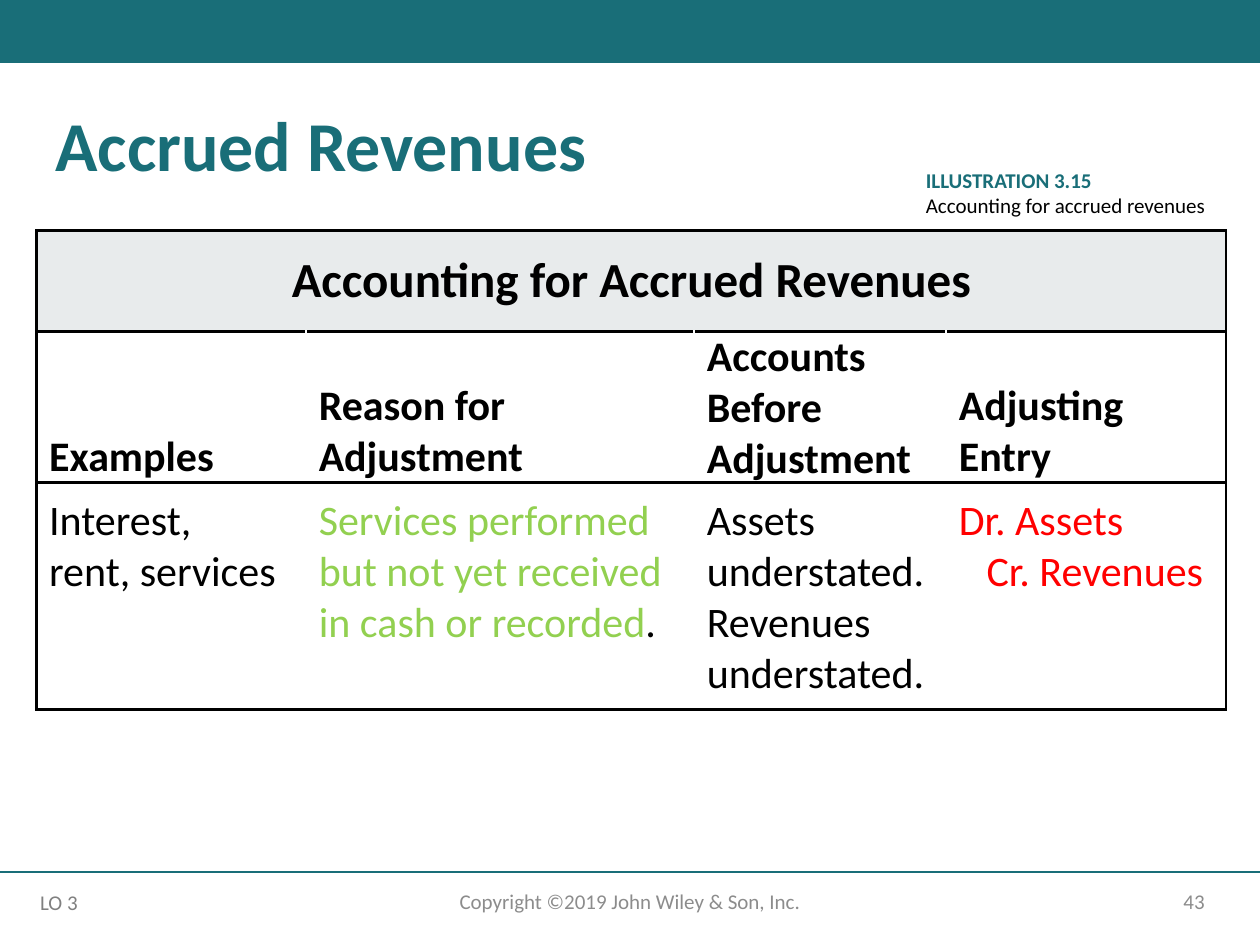
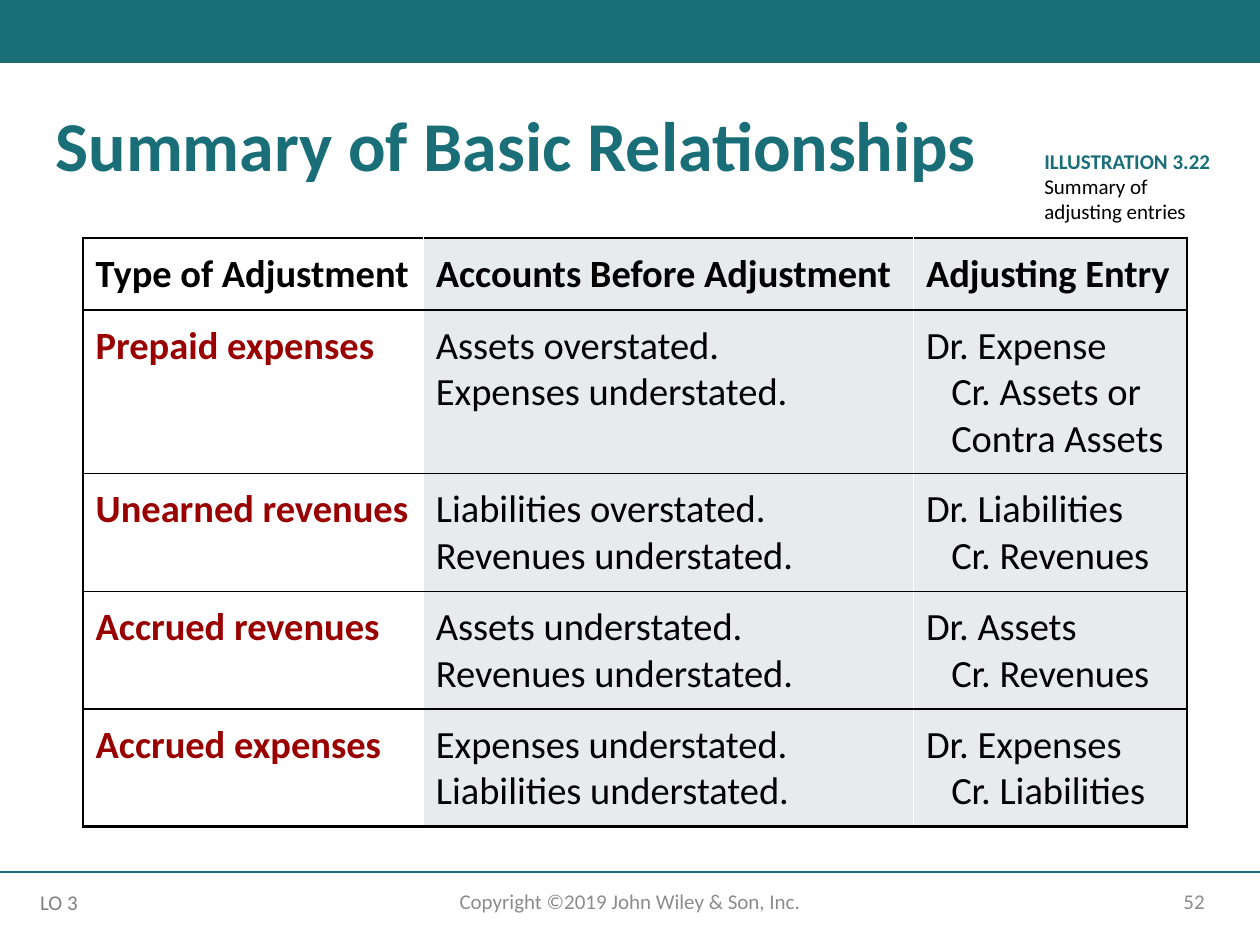
from dataclasses import dataclass

import pptx
import pptx.dml.color
import pptx.enum.shapes
import pptx.enum.text
import pptx.oxml
import pptx.oxml.ns
import pptx.slide
import pptx.table
import pptx.text.text
import pptx.util
from lxml import etree

Inches = pptx.util.Inches
Pt = pptx.util.Pt
Align = pptx.enum.text.PP_ALIGN
Anchor = pptx.enum.text.MSO_ANCHOR


@dataclass(frozen=True)
class Theme:
    font: str = "Calibri"
    teal: str = "196E78"
    black: str = "000000"
    white: str = "FFFFFF"
    pale: str = "E8EBEC"
    gray: str = "8C8C8C"
    dim: str = "808080"
    green: str = "92D050"
    red: str = "FF0000"
    maroon: str = "990000"
    title: int = 40
    banner: int = 28
    small: int = 12
    thick: float = 1.5
    thin: float = 1


THEME = Theme()


@dataclass(frozen=True)
class Box:
    left: float
    top: float
    width: float
    height: float

    def place(self) -> tuple:
        return tuple(Inches(n) for n in (self.left, self.top, self.width, self.height))


@dataclass(frozen=True)
class Line:
    text: str
    ink: str
    bold: bool = False
    align: Align = Align.LEFT


@dataclass(frozen=True)
class Cell:
    """Table cell; hang indents each line after the first, tail is a black ending."""
    lines: tuple[str, ...]
    ink: str = THEME.black
    bold: bool = False
    fill: str = THEME.white
    hang: float = 0
    tail: str = ""


@dataclass(frozen=True)
class Row:
    height: float
    cells: tuple[Cell, ...]
    size: int
    anchor: Anchor = Anchor.TOP
    pad: float = 0.1
    rule: float = THEME.thick


@dataclass(frozen=True)
class Page:
    title: str
    number: str
    label: str
    note: str
    note_box: Box
    grid: Box
    cols: tuple[float, ...]
    rows: tuple[Row, ...]


def color(code: str) -> pptx.dml.color.RGBColor:
    return pptx.dml.color.RGBColor.from_string(code)


def style(para: pptx.text.text._Paragraph, size: int, ink: str, bold: bool) -> None:
    font = para.font
    font.name, font.size, font.bold = THEME.font, Pt(size), bold
    font.color.rgb = color(ink)


def add_text(slide: pptx.slide.Slide, box: Box, lines: tuple[Line, ...],
             anchor: Anchor = Anchor.TOP) -> None:
    frame = slide.shapes.add_textbox(*box.place()).text_frame
    frame.word_wrap = True
    frame.vertical_anchor = anchor
    for i, line in enumerate(lines):
        para = frame.paragraphs[0] if i == 0 else frame.add_paragraph()
        para.text = line.text
        para.alignment = line.align
        style(para, THEME.small, line.ink, line.bold)


def add_frame(slide: pptx.slide.Slide, page: Page) -> None:
    """Draw the band, footer and title that every slide shares."""
    band = slide.shapes.add_shape(pptx.enum.shapes.MSO_SHAPE.RECTANGLE,
                                  *Box(0, 0, 10, 0.5).place())
    band.shadow.inherit = False
    band.fill.solid()
    band.fill.fore_color.rgb = color(THEME.teal)
    band.line.fill.background()

    rule = slide.shapes.add_connector(pptx.enum.shapes.MSO_CONNECTOR.STRAIGHT,
                                      Inches(0), Inches(6.92), Inches(10), Inches(6.92))
    rule.line.color.rgb = color(THEME.teal)
    rule.line.width = Pt(THEME.thin)
    etree.SubElement(rule._element.spPr, pptx.oxml.ns.qn("a:effectLst"))

    for box, line in (
        (Box(0.22, 6.96, 1, 0.4), Line("LO 3", THEME.dim)),
        (Box(3.31, 6.95, 3.38, 0.4),
         Line("Copyright ©2019 John Wiley & Son, Inc.", THEME.gray, align=Align.CENTER)),
        (Box(7.06, 6.95, 2.6, 0.4), Line(page.number, THEME.gray, align=Align.RIGHT)),
    ):
        add_text(slide, box, (line,), Anchor.MIDDLE)

    title = slide.shapes.title
    title.left, title.top, title.width, title.height = Box(0.34, 0.83, 9.49, 0.71).place()
    title.text_frame.text = page.title
    title.text_frame.auto_size = pptx.enum.text.MSO_AUTO_SIZE.NONE
    para = title.text_frame.paragraphs[0]
    para.alignment, para.line_spacing = Align.LEFT, 0.9
    style(para, THEME.title, THEME.teal, True)


def set_edge(cell: pptx.table._Cell, side: str, ink: str, width: float) -> None:
    edge = etree.SubElement(cell._tc.get_or_add_tcPr(), pptx.oxml.ns.qn(f"a:ln{side}"),
                            w=str(int(Pt(width))))
    fill = etree.SubElement(edge, pptx.oxml.ns.qn("a:solidFill"))
    etree.SubElement(fill, pptx.oxml.ns.qn("a:srgbClr"), val=ink)


def fill_cell(spot: pptx.table._Cell, cell: Cell, row: Row, align: Align) -> None:
    spot.vertical_anchor = row.anchor
    spot.margin_left = spot.margin_right = Inches(0.1)
    spot.margin_top = spot.margin_bottom = Inches(row.pad)
    spot.fill.solid()
    spot.fill.fore_color.rgb = color(cell.fill)
    frame = spot.text_frame
    for i, text in enumerate(cell.lines):
        para = frame.paragraphs[0] if i == 0 else frame.add_paragraph()
        para.text = text
        para.alignment = align
        if i and cell.hang:
            para._p.get_or_add_pPr().set("marL", str(Inches(cell.hang)))
        style(para, row.size, cell.ink, cell.bold)
    if cell.tail:
        run = para.add_run()
        run.text = cell.tail
        run.font.color.rgb = color(THEME.black)


def add_grid(slide: pptx.slide.Slide, page: Page) -> None:
    """Draw the table; a row with a single cell spans all columns."""
    count = len(page.cols)
    table = slide.shapes.add_table(len(page.rows), count, *page.grid.place()).table
    table.first_row = table.horz_banding = False
    for col, width in zip(table.columns, page.cols):
        col.width = Inches(width)
    outer, inner = (THEME.black, THEME.thick), (THEME.white, THEME.thin)
    above = THEME.thick
    for r, row in enumerate(page.rows):
        table.rows[r].height = Inches(row.height)
        whole = len(row.cells) == 1
        if whole:
            table.cell(r, 0).merge(table.cell(r, count - 1))
        for c, cell in enumerate(row.cells):
            spot = table.cell(r, c)
            last = whole or c == count - 1
            set_edge(spot, "L", *(inner if c else outer))
            set_edge(spot, "R", *(outer if last else inner))
            set_edge(spot, "T", THEME.black, above)
            set_edge(spot, "B", THEME.black, row.rule)
            fill_cell(spot, cell, row, Align.CENTER if whole else Align.LEFT)
        above = row.rule


def head(*lines: str, fill: str = THEME.white) -> Cell:
    return Cell(lines, bold=True, fill=fill)


def kind_row(kind: str, before: tuple[str, ...], entry: tuple[str, ...],
             height: float = 0.93, rule: float = THEME.thin) -> Row:
    """Build one summary row for a type of adjustment."""
    return Row(height, (Cell((kind,), THEME.maroon, True), Cell(before, fill=THEME.pale),
                        Cell(entry, fill=THEME.pale, hang=0.2)), 22, rule=rule)


PAGES = (
    Page(
        "Accrued Revenues", "43", "ILLUSTRATION 3.15", "Accounting for accrued revenues",
        Box(7.25, 1.28, 2.65, 0.5), Box(0.29, 1.83, 9.44, 3.8), (2.14, 3.08, 2, 2.22),
        (
            Row(0.8, (head("Accounting for Accrued Revenues", fill=THEME.pale),),
                THEME.banner, Anchor.MIDDLE, 0),
            Row(1.2, (head("Examples"), head("Reason for", "Adjustment"),
                      head("Accounts", "Before", "Adjustment"), head("Adjusting", "Entry")),
                24, Anchor.BOTTOM, 0),
            Row(1.8, (
                Cell(("Interest,", "rent, services")),
                Cell(("Services performed", "but not yet received", "in cash or recorded"),
                     THEME.green, tail="."),
                Cell(("Assets", "understated.", "Revenues", "understated.")),
                Cell(("Dr. Assets", "Cr. Revenues"), THEME.red, hang=0.22),
            ), 24),
        ),
    ),
    Page(
        "Summary of Basic Relationships", "52", "ILLUSTRATION 3.22",
        "Summary of adjusting entries",
        Box(8.19, 1.13, 1.65, 0.71), Box(0.66, 1.89, 8.76, 4.67), (2.7, 3.89, 2.17),
        (
            Row(0.57, (head("Type of Adjustment"),
                       head("Accounts Before Adjustment", fill=THEME.pale),
                       head("Adjusting Entry", fill=THEME.pale)), 22, Anchor.BOTTOM),
            kind_row("Prepaid expenses", ("Assets overstated.", "Expenses understated."),
                     ("Dr. Expense", "Cr. Assets or", "Contra Assets"), 1.3),
            kind_row("Unearned revenues", ("Liabilities overstated.", "Revenues understated."),
                     ("Dr. Liabilities", "Cr. Revenues")),
            kind_row("Accrued revenues", ("Assets understated.", "Revenues understated."),
                     ("Dr. Assets", "Cr. Revenues")),
            kind_row("Accrued expenses", ("Expenses understated.", "Liabilities understated."),
                     ("Dr. Expenses", "Cr. Liabilities"), rule=THEME.thick),
        ),
    ),
)


def main() -> None:
    deck = pptx.Presentation()
    deck.slide_width, deck.slide_height = Inches(10), Inches(7.5)
    layout = deck.slide_layouts.get_by_name("Title Only")
    for page in PAGES:
        slide = deck.slides.add_slide(layout)
        add_frame(slide, page)
        add_grid(slide, page)
        add_text(slide, page.note_box, (Line(page.label, THEME.teal, True),
                                        Line(page.note, THEME.black)))
    deck.save("out.pptx")


if __name__ == "__main__":
    main()
